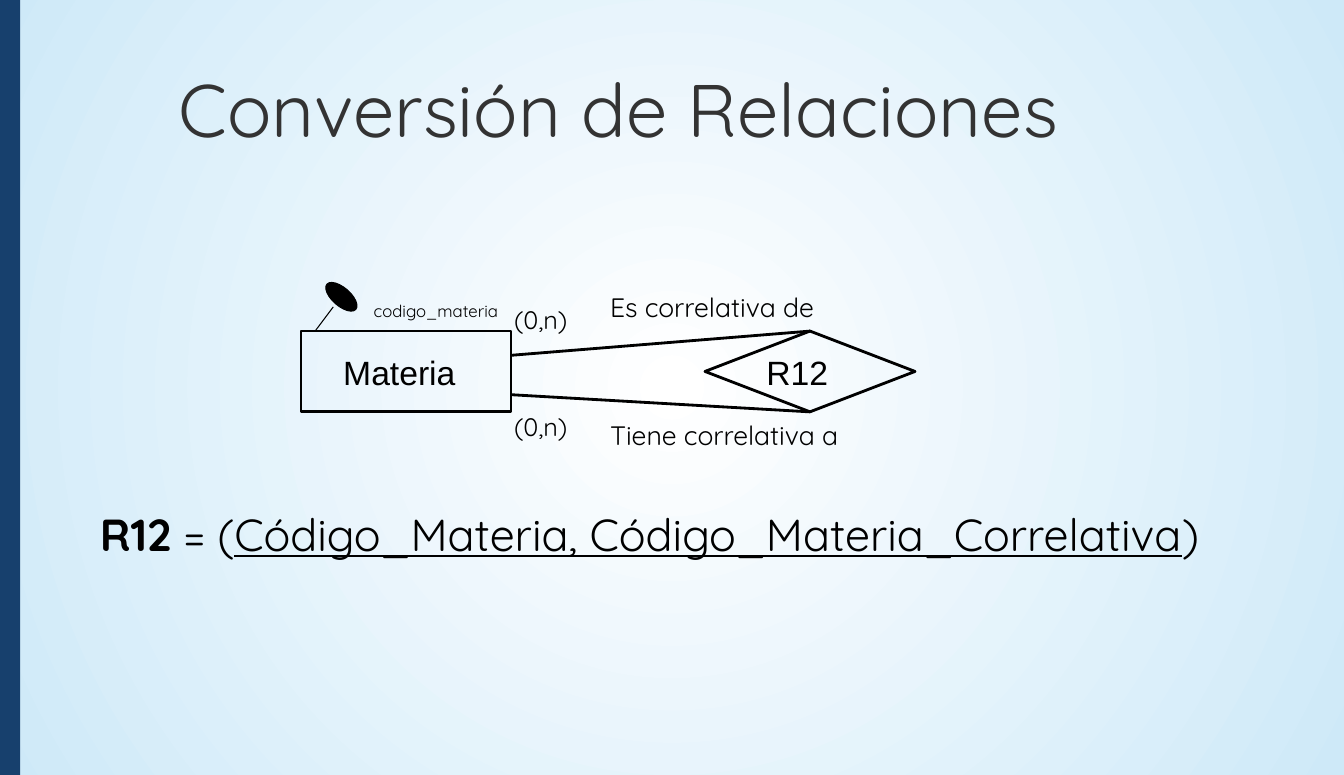
from lxml import etree
from pptx import Presentation
from pptx.dml.color import RGBColor
from pptx.enum.shapes import MSO_CONNECTOR, MSO_SHAPE
from pptx.enum.text import MSO_ANCHOR, MSO_AUTO_SIZE, PP_ALIGN
from pptx.oxml.ns import qn
from pptx.util import Cm, Inches, Pt

STRAIGHT = MSO_CONNECTOR.STRAIGHT
RECT, DIAMOND, OVAL = MSO_SHAPE.RECTANGLE, MSO_SHAPE.FLOWCHART_DECISION, MSO_SHAPE.OVAL
TOP, NO_FIT, LEFT = MSO_ANCHOR.TOP, MSO_AUTO_SIZE.NONE, PP_ALIGN.LEFT
WIDTH, HEIGHT = Cm(33.8), Cm(19.5)
BLACK, GREY, NAVY, WHITE, SKY = "000000", "333333", "17406D", "FFFFFF", "CEE9F8"
FONT, NODE_FONT = "Quicksand", "Arial"


def rgb(value):
    return RGBColor.from_string(value)


def inches(*values):
    return [Inches(v) for v in values]


def fill_text(s, runs, size, color=BLACK, font=FONT, pad=0.12):
    tf = s.text_frame
    frame = {"word_wrap": True, "auto_size": NO_FIT, "vertical_anchor": TOP,
             "margin_left": Inches(pad), "margin_right": Inches(pad),
             "margin_top": Inches(pad / 2), "margin_bottom": Inches(pad / 2)}
    for name, value in frame.items():
        setattr(tf, name, value)
    p = tf.paragraphs[0]
    p.alignment = LEFT
    for text, extra in runs:
        r = p.add_run()
        r.text = text
        r.font.color.rgb = rgb(color)
        for name, value in {"name": font, "size": Pt(size), **extra}.items():
            setattr(r.font, name, value)


def add_text(shapes, box, text, size, **style):
    s = shapes.add_textbox(*inches(*box))
    fill_text(s, [(text, {})], size, **style)


def add_shape(shapes, kind, box, fill=None, line=None, weight=2):
    s = shapes.add_shape(kind, *inches(*box))
    s.shadow.inherit = False
    if fill:
        s.fill.solid()
        s.fill.fore_color.rgb = rgb(fill)
    else:
        s.fill.background()
    if line:
        s.line.color.rgb = rgb(line)
        s.line.width = Pt(weight)
    else:
        s.line.fill.background()
    return s


def add_line(shapes, start, end, weight=2):
    s = shapes.add_connector(STRAIGHT, *inches(*start, *end))
    s.line.color.rgb = rgb(BLACK)
    s.line.width = Pt(weight)
    etree.SubElement(s.element.spPr, qn("a:effectLst"))
    return s


def add_node(slide, kind, box, label, inset, label_width):
    x, y, w, h = box
    shapes = slide.shapes.add_group_shape().shapes
    s = add_shape(shapes, kind, box, line=BLACK)
    add_text(shapes, (x + inset, y + 0.16, label_width, 0.5), label, 24,
             font=NODE_FONT, pad=0.1)
    return s


def add_background(slide):
    fill = slide.background.fill
    fill.gradient()
    for stop, position, color in zip(fill.gradient_stops, (0, 1), (WHITE, SKY)):
        stop.position = position
        stop.color.rgb = rgb(color)
    grad = slide.element.find(".//" + qn("a:gradFill"))
    lin = grad.find(qn("a:lin"))
    radial = etree.Element(qn("a:path"), {"path": "circle"})
    etree.SubElement(radial, qn("a:fillToRect"), dict.fromkeys("ltrb", "50000"))
    grad.replace(lin, radial)
    add_shape(slide.shapes, RECT, (0, 0, 0.2, HEIGHT.inches), fill=NAVY)


def add_title(slide, box):
    s = slide.shapes.title
    s.left, s.top, s.width, s.height = inches(*box)
    fill_text(s, [("Conversión de Relaciones", {})], 53, GREY)


def add_key(slide, x, y):
    shapes = slide.shapes.add_group_shape().shapes
    add_line(shapes, (x, y), (x + 0.18, y - 0.24), 0.75)
    s = add_shape(shapes, OVAL, (x + 0.07, y - 0.43, 0.38, 0.18), BLACK, BLACK, 0.75)
    s.rotation = 41.2
    add_text(slide.shapes, (x + 0.46, y - 0.36, 1.55, 0.32), "codigo_materia", 12)


def add_diagram(slide, box):
    x, y, w, h = box
    node_w = 2.08
    right = x + node_w
    add_node(slide, RECT, (x, y, node_w, h), "Materia", 0.32, 1.56)
    relation = add_node(slide, DIAMOND, (x + w - node_w, y, node_w, h), "R12", 0.51, 1.24)
    branches = ((0, 0.24, -0.33, "Es correlativa de", -0.46),
                (2, 0.63, 0.73, "Tiene correlativa a", 0.81))
    for site, exit_y, count_y, role, role_y in branches:
        line = add_line(slide.shapes, (x + w - node_w / 2, y), (right, y + exit_y))
        line.begin_connect(relation, site)
        add_text(slide.shapes, (right - 0.09, y + count_y, 1.47, 0.42), "(0,n)", 18)
        add_text(slide.shapes, (right + 0.86, y + role_y, 2.73, 0.44), role, 19)
    add_key(slide, x + 0.14, y)


def add_formula(slide, box):
    s = slide.shapes.add_textbox(*inches(*box))
    runs = [("R12", {"bold": True}), (" = (", {}),
            ("Código_Materia, Código_Materia_Correlativa", {"underline": True}),
            (")", {})]
    fill_text(s, runs, 32)


def main():
    prs = Presentation()
    prs.slide_width, prs.slide_height = WIDTH, HEIGHT
    slide = prs.slides.add_slide(prs.slide_layouts[5])
    add_background(slide)
    add_title(slide, (1.65, 0.57, 11.6, 1.11))
    add_diagram(slide, (2.98, 3.28, 6.08, 0.8))
    add_formula(slide, (0.87, 4.96, 12.4, 0.65))
    prs.save("out.pptx")


if __name__ == "__main__":
    main()
